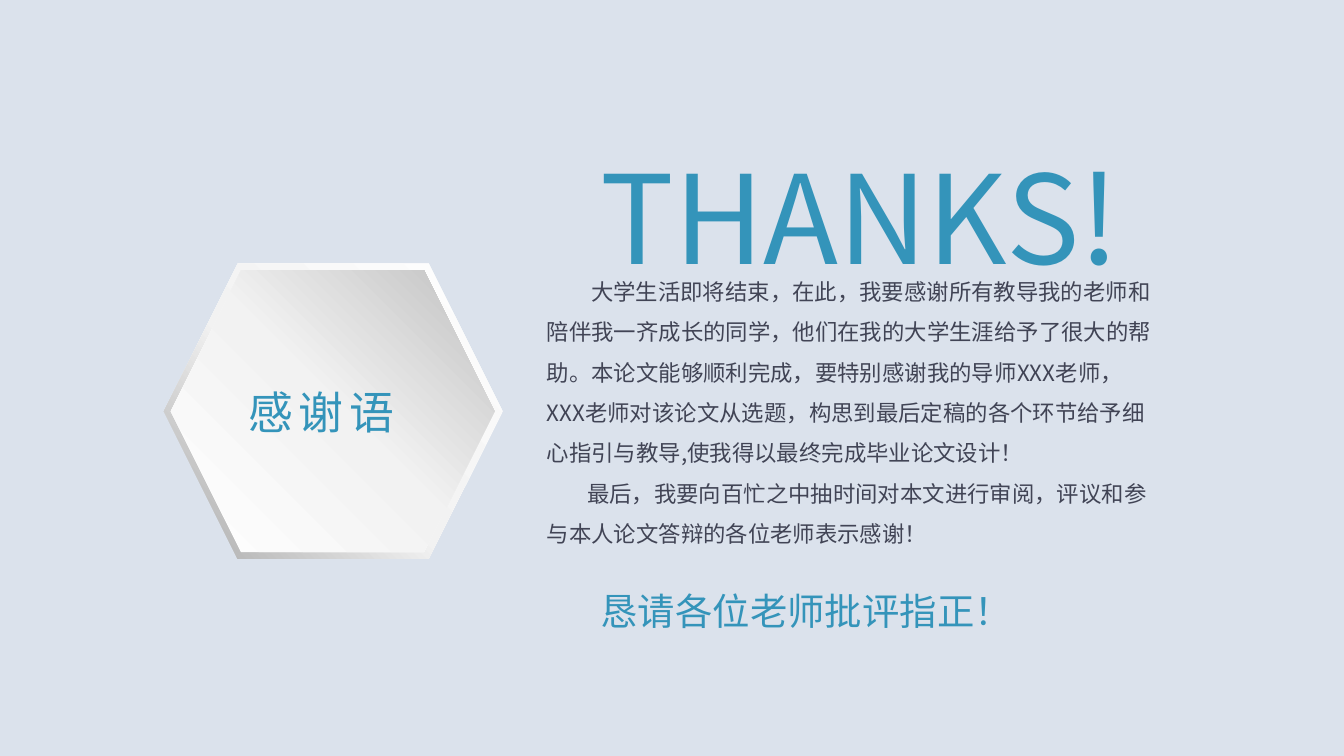
"""Build a closing slide with a thank-you message beside a hexagon badge."""
from lxml import etree
from pptx import Presentation
from pptx.dml.color import RGBColor
from pptx.enum import shapes, text
from pptx.oxml.ns import qn
from pptx.util import Inches, Pt

FONT = "Noto Sans CJK SC"
BACKGROUND = RGBColor(0xDB, 0xE2, 0xEC)
ACCENT = RGBColor(0x34, 0x94, 0xBA)
BODY = RGBColor(0x41, 0x44, 0x55)
WHITE = RGBColor(0xFF, 0xFF, 0xFF)
PALE = RGBColor(0xF2, 0xF2, 0xF2)
SILVER = RGBColor(0xBF, 0xBF, 0xBF)
GREY = RGBColor(0xA6, 0xA6, 0xA6)

THANKS = (
    "大学生活即将结束，在此，我要感谢所有教导我的老师和陪伴我一齐成长的同学，"
    "他们在我的大学生涯给予了很大的帮助。本论文能够顺利完成，要特别感谢我的导师XXX老师，"
    "XXX老师对该论文从选题，构思到最后定稿的各个环节给予细心指引与教导,"
    "使我得以最终完成毕业论文设计！"
)
CLOSING = "最后，我要向百忙之中抽时间对本文进行审阅，评议和参与本人论文答辩的各位老师表示感谢！"


def add_hexagon(group, box, stops, angle):
    hexagon = group.shapes.add_shape(
        shapes.MSO_SHAPE.HEXAGON, *(Inches(value) for value in box))
    hexagon.shadow.inherit = False
    hexagon.line.fill.background()
    hexagon.fill.gradient()
    hexagon.fill.gradient_angle = angle
    stop_list = hexagon._element.spPr.find(".//" + qn("a:gsLst"))
    for stop in list(stop_list):
        stop_list.remove(stop)
    for percent, color in stops:
        stop = etree.SubElement(stop_list, qn("a:gs"), pos=str(percent * 1000))
        etree.SubElement(stop, qn("a:srgbClr"), val=str(color))


def add_text(slide, box, lines, size, color, wrap=True, line_spacing=None,
             letter_spacing=0, indents=(0,)):
    frame = slide.shapes.add_textbox(*(Inches(value) for value in box)).text_frame
    frame.word_wrap = wrap
    frame.auto_size = text.MSO_AUTO_SIZE.SHAPE_TO_FIT_TEXT
    frame.text = "\n".join(lines)
    for paragraph, indent in zip(frame.paragraphs, indents):
        paragraph.line_spacing = line_spacing
        paragraph.font.size = Pt(size)
        paragraph.font.name = FONT
        paragraph.font.color.rgb = color
        if indent:
            paragraph._p.get_or_add_pPr().set("indent", str(Inches(indent)))
        for run in paragraph.runs:
            properties = run._r.get_or_add_rPr()
            etree.SubElement(properties, qn("a:ea"), typeface=FONT)
            if letter_spacing:
                properties.set("spc", str(letter_spacing * 100))


def main():
    presentation = Presentation()
    presentation.slide_width = Inches(10)
    presentation.slide_height = Inches(10) * 9 // 16
    slide = presentation.slides.add_slide(presentation.slide_layouts[6])
    slide.background.fill.solid()
    slide.background.fill.fore_color.rgb = BACKGROUND

    badge = slide.shapes.add_group_shape()
    add_hexagon(badge, (1.22, 1.96, 2.52, 2.2),
                [(0, WHITE), (55, PALE), (100, GREY)], 225)
    add_hexagon(badge, (1.27, 2.01, 2.41, 2.1),
                [(0, WHITE), (51, PALE), (100, SILVER)], 45)

    add_text(slide, (1.75, 2.81, 1.34, 0.5), ["感谢语"], 24, ACCENT,
             wrap=False, letter_spacing=3)
    add_text(slide, (4.37, 0.45, 5.6, 1.56), ["THANKS!"], 66, ACCENT,
             line_spacing=1.5)
    add_text(slide, (3.97, 1.92, 4.76, 2.22), [THANKS, CLOSING], 12, BODY,
             line_spacing=1.5, indents=(0.33, 0.3))
    add_text(slide, (4.37, 4.16, 3.33, 0.55), ["恳请各位老师批评指正！"], 20, ACCENT,
             line_spacing=1.5)
    presentation.save("out.pptx")


if __name__ == "__main__":
    main()
